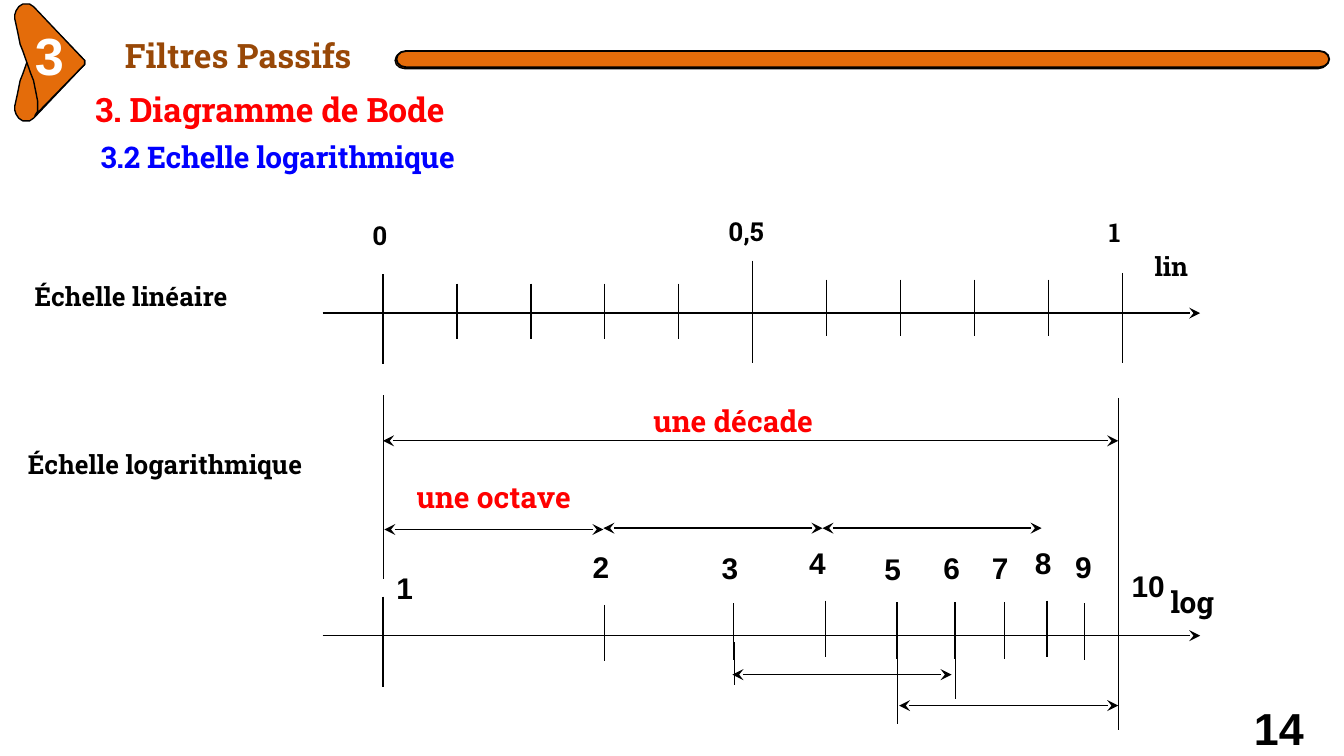
"""Build the slide comparing a linear and a logarithmic scale on a 0.1 inch grid."""
from math import cos, log10, radians, sin

from lxml.etree import SubElement
from pptx import Presentation
from pptx.dml.color import RGBColor
from pptx.enum.shapes import MSO_CONNECTOR as Connector
from pptx.enum.text import PP_ALIGN as Align
from pptx.oxml.ns import qn
from pptx.util import Inches, Pt

BLACK = RGBColor(0x00, 0x00, 0x00)
WHITE = RGBColor(0xFF, 0xFF, 0xFF)
RED = RGBColor(0xFF, 0x00, 0x00)
BLUE = RGBColor(0x00, 0x00, 0xFF)
BROWN = RGBColor(0x98, 0x48, 0x07)
ORANGE = RGBColor(0xE4, 0x6C, 0x0A)

SLAB, SANS = "Roboto Slab", "Arial"
COLUMNS, ROWS = 100, 56.25
ORIGIN, DECADE, OCTAVE, LINEAR_STEP = 28.5, 54.7, 16.3, 5.5
AXIS_START, AXIS_END = 24, 89.3
LINEAR_ROW, LOG_ROW = 23.3, 47.3
PADDED = (1, 0.5)
RAISED = (0, 0.1)

LOG_MARKS = {2: (44.1, 40.8, 45), 3: (53.7, 40.9, 44.9), 4: (60.2, 40.5, 44.7),
             5: (65.8, 41, 44.8), 6: (70.2, 40.9, 44.8), 7: (73.8, 40.9, 44.8),
             8: (77, 40.5, 44.7), 9: (80, 40.8, 44.9)}
INTERVALS = [(28.5, 54.7, 32.8), (28.6, OCTAVE, 39.4), (44.9, OCTAVE, 39.3),
             (61.2, OCTAVE, 39.3), (54.5, OCTAVE, 50.2), (66.9, OCTAVE, 52.5)]
GUIDES = [(10, 29.6, 54.3), (1, 29.4, 43.1), (6, 48.8, 52), (3, 47.8, 51),
          (5, 48.9, 53.9)]
WING = [(2.6, 8.6), (2.8, 8.3), (2.8, 7.5), (2.7, 7), (2.5, 6), (2.3, 5.5),
        (1.7, 3.8), (1.5, 3.3), (1.3, 2.3), (1.1, 1.4), (1.1, 1.1), (1.2, 0.8),
        (1.4, 0.5), (1.7, 0.3), (2.2, 0.3), (2.5, 0.5), (6.2, 4.4), (6.3, 4.5),
        (6.3, 4.8), (6.2, 4.9)]


def grid(cells):
    """Turn a number of grid cells into a length."""
    return Inches(cells / 10)


def log_column(value):
    """Return the column of a value on the logarithmic axis."""
    return ORIGIN + DECADE * log10(value)


def add_label(slide, text, box, size, color=BLACK, font=SLAB, inset=(0, 0),
              align=Align.LEFT, spacing=None):
    """Add a bold one-line text in a box of columns and rows."""
    frame = slide.shapes.add_textbox(*map(grid, box)).text_frame
    frame.word_wrap = True
    frame.margin_left = frame.margin_right = grid(inset[0])
    frame.margin_top = frame.margin_bottom = grid(inset[1])
    paragraph = frame.paragraphs[0]
    paragraph.alignment = align
    paragraph.line_spacing = spacing
    run = paragraph.add_run()
    run.text = text
    run.font.name, run.font.size, run.font.bold = font, Pt(size), True
    run.font.color.rgb = color
    return run


def tighten(run):
    """Bring the letters of a run slightly closer together."""
    run._r.get_or_add_rPr().set("spc", "-10")


def add_line(slide, start, end, width=0.75, arrows=()):
    """Draw a black line with stealth arrowheads at the named ends."""
    line = slide.shapes.add_connector(
        Connector.STRAIGHT, *map(grid, (*start, *end)))
    line.line.width = Pt(width)
    line.line.color.rgb = BLACK
    properties = line._element.spPr
    outline = properties.find(qn("a:ln"))
    for arrow in arrows:
        SubElement(outline, qn(f"a:{arrow}"), type="stealth")
    SubElement(properties, qn("a:effectLst"))


def add_tick(slide, column, top, bottom, width=0.75):
    """Draw a vertical line between two rows."""
    add_line(slide, (column, top), (column, bottom), width)


def add_axis(slide, row):
    """Draw a horizontal axis pointing right."""
    add_line(slide, (AXIS_START, row), (AXIS_END, row), arrows=["tailEnd"])


def add_outline(slide, points, width=0.75):
    """Draw a closed orange polygon."""
    corners = [(grid(x), grid(y)) for x, y in points]
    builder = slide.shapes.build_freeform(*corners[0])
    builder.add_line_segments(corners[1:], close=True)
    polygon = builder.convert_to_shape()
    polygon.shadow.inherit = False
    polygon.fill.solid()
    polygon.fill.fore_color.rgb = ORANGE
    polygon.line.color.rgb = BLACK
    polygon.line.width = Pt(width)


def add_bar(slide, left, middle, width):
    """Draw the long bar with round ends."""
    ends = [(left + 0.7, 90), (left + 68.7, 270)]
    add_outline(slide, [(center + 0.7 * cos(radians(first + turn)),
                         middle - 0.6 * sin(radians(first + turn)))
                        for center, first in ends
                        for turn in range(0, 181, 30)], width)


def add_header(slide):
    """Add the chapter badge, the bar and the headings."""
    add_label(slide, "Filtres Passifs", (9.3, 2.5, 58.3, 3.3), 18, BROWN,
              inset=RAISED)
    add_outline(slide, [(x, 9.3 - y) for x, y in WING])
    add_outline(slide, WING)
    add_label(slide, "3", (2.6, 1.6, 2.4, 4.9), 28, WHITE, SANS, RAISED)
    add_bar(slide, 29.4, 4.5, 0.75)
    add_bar(slide, 29.5, 4.4, 1)
    tighten(add_label(slide, "3.2 Echelle logarithmique", (6.5, 9.8, 50, 3.7), 16,
                      BLUE, inset=PADDED))
    tighten(add_label(slide, "3. Diagramme de Bode", (6.1, 6.1, 31.4, 4), 18, RED,
                      inset=PADDED))


def add_linear_scale(slide):
    """Add the linear axis with its ten steps."""
    add_label(slide, "Échelle linéaire", (1.6, 20.4, 18.4, 3.4), 14, inset=PADDED)
    add_label(slide, "lin", (85.9, 18.6, 3.9, 3.8), 14)
    add_axis(slide, LINEAR_ROW)
    long_ticks = {0: (20.4, 27.1), 5: (19.4, 27), 10: (20.3, 27)}
    for step in range(11):
        short_tick = (21.1, 25.2) if step < 5 else (20.8, 25)
        add_tick(slide, ORIGIN + step * LINEAR_STEP,
                 *long_ticks.get(step, short_tick))
    for text, left, top, width in [("0", 27.7, 16.3, 1.9), ("0,5", 54.2, 16, 3.8),
                                   ("1", 82.5, 16.1, 1.9)]:
        add_label(slide, text, (left, top, width, 2.9), 14)


def add_log_scale(slide):
    """Add the logarithmic axis with its decade and octaves."""
    add_label(slide, "Échelle logarithmique", (1.1, 32.9, 24.5, 3.4), 14,
              inset=PADDED)
    add_label(slide, "log", (87.1, 43.4, 4.3, 4.5), 16)
    add_axis(slide, LOG_ROW)
    add_tick(slide, ORIGIN, 44.4, 51.1)
    for value, (left, label_top, tick_top) in LOG_MARKS.items():
        add_tick(slide, log_column(value), tick_top, tick_top + 4.2)
        add_label(slide, str(value), (left, label_top, 1.9, 2.9), 16, font=SANS)
    add_label(slide, "1", (29.5, 42.4, 1.9, 2.9), 16, font=SANS)
    add_label(slide, "10", (84.2, 42.2, 3.5, 2.9), 16, font=SANS)
    for value, top, bottom in GUIDES:
        add_tick(slide, log_column(value), top, bottom, 0.25)
    for start, length, row in INTERVALS:
        add_line(slide, (start, row), (start + length, row),
                 arrows=["headEnd", "tailEnd"])
    for text, left, top in [("une décade", 46.9, 30), ("une octave", 29.1, 35.6)]:
        add_label(slide, text, (left, top, 15.3, 3.4), 16, RED, align=Align.CENTER)


def main():
    """Build the slide and save it."""
    deck = Presentation()
    deck.slide_width, deck.slide_height = grid(COLUMNS), grid(ROWS)
    slide = deck.slides.add_slide(deck.slide_layouts[6])
    add_linear_scale(slide)
    add_log_scale(slide)
    add_header(slide)
    add_label(slide, "14", (93.3, 52.8, 5.8, 3.4), 24, font=SANS, spacing=Pt(24.3))
    deck.save("out.pptx")


if __name__ == "__main__":
    main()
